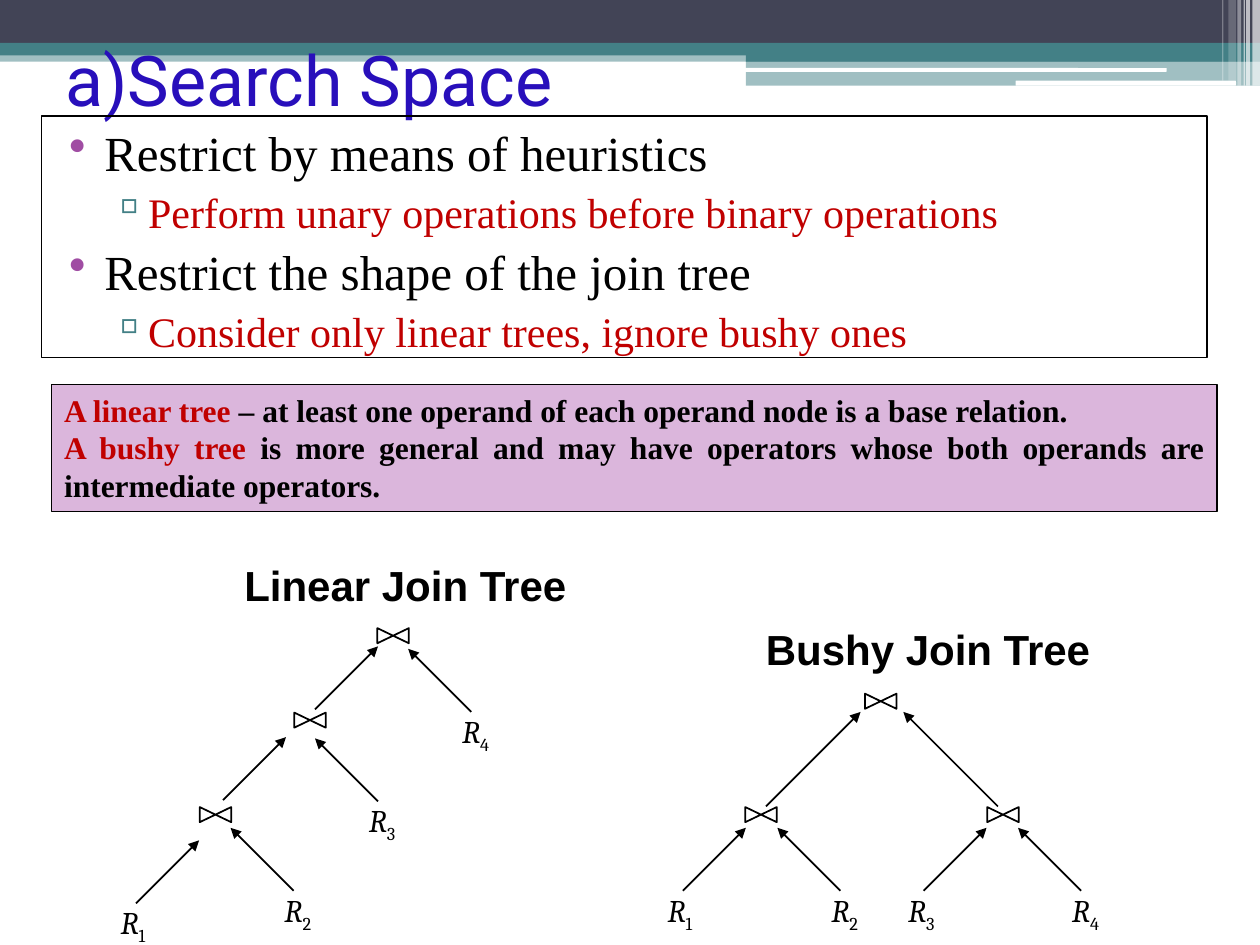
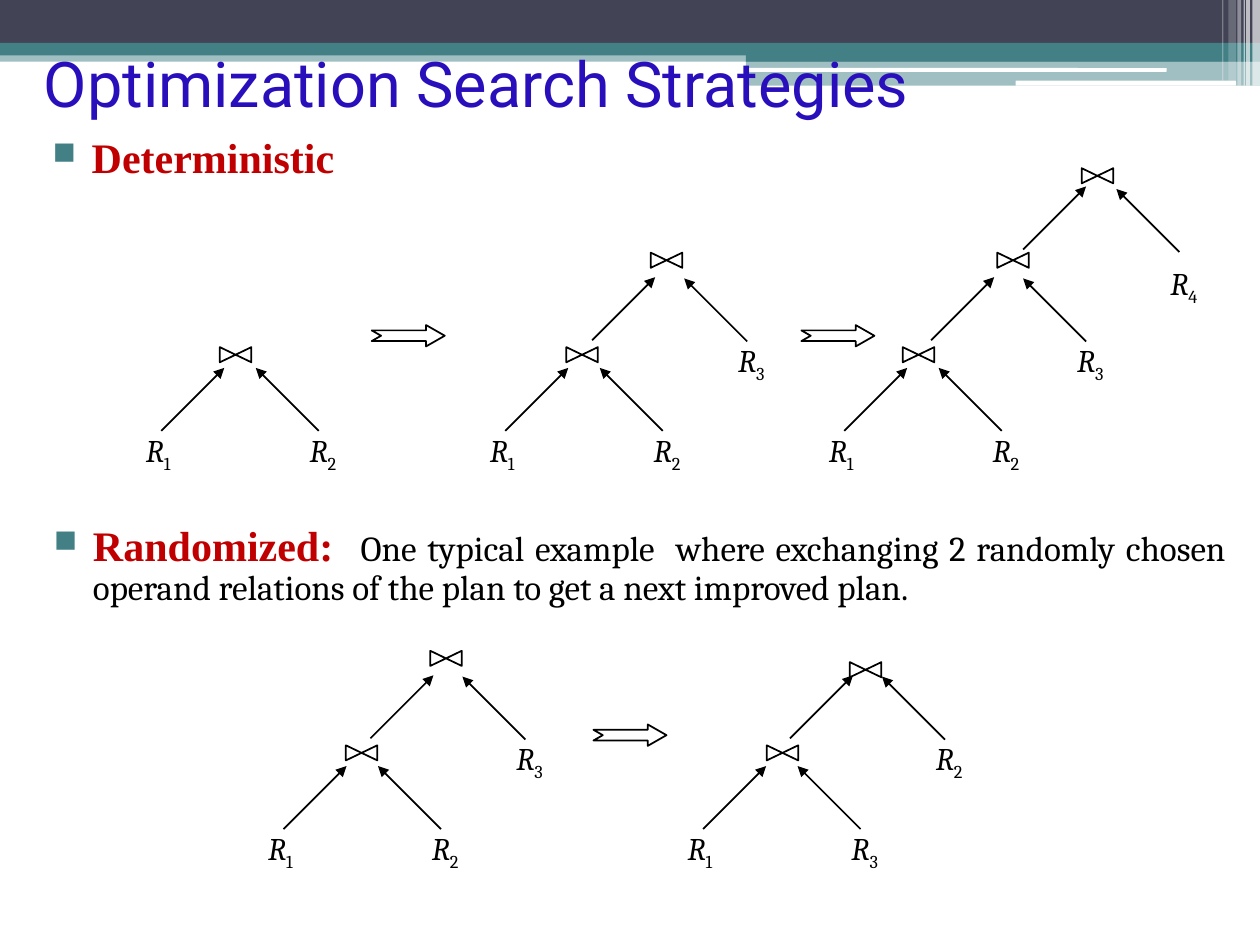
"""Builds two slides on search space and search strategies for join trees."""
from lxml.etree import SubElement as Sub
from pptx import Presentation
from pptx.dml.color import RGBColor as RGB
from pptx.enum.shapes import MSO_CONNECTOR as LINK, MSO_SHAPE as SHAPE
from pptx.enum.text import MSO_ANCHOR as ANCHOR, PP_ALIGN as ALIGN
from pptx.oxml.ns import qn
from pptx.util import Inches, Pt

HEX = {"black": "000000", "white": "FFFFFF", "slate": "424456", "teal": "438086",
       "blue": "280FBB", "red": "C00000", "plum": "A04DA3", "lilac": "DBB6DC"}
SERIF, BOOK = "Times New Roman", "Cambria"

BANDS = [
    ((0, 0.4, 10, 0.09), "teal", 50), ((0, 0, 10, 0.34), "slate", 100),
    ((0, 0.34, 10, 0.1), "teal", 100), ((5.92, 0.39, 4.08, 0.1), "teal", 100),
    ((5.92, 0.48, 4.08, 0.2), "teal", 50)]
RULES = [(5.91, 0.54, 3.35, 0.03), (8.06, 0.64, 1.75, 0.04)]
STRIPES = [(9.94, 0.06, 0.68, 65), (9.89, 0.03, 0.68, 65), (9.87, 0.01, 0.68, 60),
           (9.82, 0.03, 0.68, 40), (9.75, 0.06, 0.64, 20), (9.7, 0.01, 0.64, 30)]

TITLES = [("a)Search Space", (0.42, 0, 9.25, 1.25), 40),
          ("Optimization Search Strategies", (0.25, 0.17, 7.83, 0.96), 36)]
LIMITS = [("Restrict by means of heuristics", "Perform unary operations before binary operations"),
          ("Restrict the shape of the join tree", "Consider only linear trees, ignore bushy ones")]
TERMS = [
    ("A linear tree ", "– at least one operand of each operand node is a base relation."),
    ("A bushy tree ", "is more general and may have operators whose both operands are "
                      "intermediate operators.")]
HEADS = [("Linear Join Tree", (1.84, 4.39, 2.78, 0.5)),
         ("Bushy Join Tree", (5.98, 4.9, 2.8, 0.5))]
EXAMPLE = ("One typical example  where exchanging 2 randomly chosen operand relations "
           "of the plan to get a next improved plan.")

LINEAR = dict(x=1.08, y=7.07, leaves="1234", drop=0.1,
              joins=[(1.71, 6.465), (2.46, 5.715), (3.12, 5.045)])
BUSHY = [dict(x=5.42, y=7.07, leaves="12", joins=[(6.04, 6.465)]),
         dict(x=7.33, y=7.07, leaves="34", joins=[(7.96, 6.465)])]
GROWTH = [
    dict(x=1.28, y=3.42, leaves="12", joins=[(1.87, 2.815)]),
    dict(x=4.01, y=3.42, leaves="123", joins=[(4.62, 2.815), (5.29, 2.065)]),
    dict(x=6.7, y=3.42, leaves="1234", joins=[(7.29, 2.815), (8.04, 2.065), (8.71, 1.395)],
         last=0.1)]
SWAP = [dict(x=2.25, y=6.58, leaves="123", joins=[(2.87, 5.975), (3.54, 5.225)]),
        dict(x=5.58, y=6.58, leaves="132", joins=[(6.21, 5.975), (6.87, 5.315)])]
ARROWS = [(2.95, 2.58), (6.36, 2.58), (4.71, 5.75)]

LEFT = [(0, 0), (0.69, -0.72), (1.42, -1.44)]
RIGHT = [(1.25, 0), (1.92, -0.71), (2.66, -1.42)]
ARM, NUDGE = 0.5, (-0.17, -0.05)


def inch(*nums):
    return [Inches(n) for n in nums]


def paint(shape, fill=None, line=None, width=1.0, alpha=100):
    if fill:
        shape.fill.solid()
        shape.fill.fore_color.rgb = RGB.from_string(HEX[fill])
        if alpha < 100:
            tint = shape.fill._xPr.find(".//" + qn("a:srgbClr"))
            Sub(tint, qn("a:alpha"), val=str(alpha * 1000))
    else:
        shape.fill.background()
    if line:
        shape.line.color.rgb = RGB.from_string(HEX[line])
        shape.line.width = Pt(width)
    else:
        shape.line.fill.background()


def draw(slide, kind, box, **look):
    shape = slide.shapes.add_shape(kind, *inch(*box))
    shape.shadow.inherit = False
    paint(shape, **look)
    return shape


def bullet(para, char, color, indent, hang, scale=None):
    props = para._p.get_or_add_pPr()
    props.set("marL", str(Inches(indent)))
    props.set("indent", str(-Inches(hang)))
    Sub(Sub(props, qn("a:buClr")), qn("a:srgbClr"), val=HEX[color])
    if scale:
        Sub(props, qn("a:buSzPct"), val=str(scale * 1000))
    Sub(props, qn("a:buChar"), char=char)


def text(slide, box, paras, size=18, font=SERIF, color="black", bold=False, wrap=True,
         align=None, anchor=ANCHOR.TOP, before=0, space=None, marks=None):
    """Each paragraph is a list of (words, format) runs."""
    shape = slide.shapes.add_textbox(*inch(*box))
    frame = shape.text_frame
    frame.word_wrap, frame.vertical_anchor = wrap, anchor
    for i, runs in enumerate(paras):
        para = frame.paragraphs[0] if i == 0 else frame.add_paragraph()
        para.alignment, para.space_before = align, Pt(before)
        if space:
            para.line_spacing = space
        if marks:
            bullet(para, *marks[i % len(marks)])
        for words, form in runs:
            run = para.add_run()
            run.text = words
            face = run.font
            face.name, face.size = form.get("font", font), Pt(form.get("size", size))
            face.bold, face.italic = form.get("bold", bold), form.get("italic", False)
            face.color.rgb = RGB.from_string(HEX[form.get("color", color)])
            if "base" in form:
                run._r.get_or_add_rPr().set("baseline", str(form["base"] * 1000))
    return shape


def arm(slide, x, y, way, size=ARM):
    link = slide.shapes.add_connector(LINK.STRAIGHT, *inch(x, y, x + way * size, y - size))
    link.line.color.rgb = RGB.from_string(HEX["black"])
    link.line.width = Pt(1)
    props = link._element.spPr
    Sub(props.find(qn("a:ln")), qn("a:tailEnd"), type="triangle")
    Sub(props, qn("a:effectLst"))


def join(slide, x, y):
    shape = draw(slide, SHAPE.FLOWCHART_COLLATE, (x - 0.06, y - 0.125, 0.12, 0.25), line="black")
    shape.rotation = 270


def leaf(slide, x, y, num):
    runs = [("R", {"italic": True}), (num, {"base": -25})]
    text(slide, (x, y, 0.47, 0.4), [runs], font=BOOK, wrap=False)


def tree(slide, x, y, leaves, joins, drop=0, last=0):
    leaf(slide, x - 0.22, y - 0.05 + drop, leaves[0])
    for i, (spot, num) in enumerate(zip(joins, leaves[1:])):
        (lx, ly), (rx, ry) = LEFT[i], RIGHT[i]
        arm(slide, x + lx, y + ly + (0 if i else drop), 1)
        arm(slide, x + rx, y + ry, -1)
        low = last if i == len(joins) - 1 else 0
        leaf(slide, x + rx + NUDGE[0], y + ry + NUDGE[1] + low, num)
        join(slide, *spot)


def arrow(slide, x, y):
    shape = draw(slide, SHAPE.NOTCHED_RIGHT_ARROW, (x, y, 0.58, 0.17), line="black")
    shape.adjustments[0], shape.adjustments[1] = 0.5, 0.875


def dress(slide, layout):
    parts = [draw(slide, SHAPE.RECTANGLE, box, fill=color, alpha=alpha)
             for box, color, alpha in BANDS]
    parts += [draw(slide, SHAPE.ROUNDED_RECTANGLE, box, fill="white") for box in RULES]
    parts += [draw(slide, SHAPE.RECTANGLE, (x, 0, wide, high), fill="white", alpha=alpha)
              for x, wide, high, alpha in STRIPES]
    for part in parts:
        layout.shapes.element.append(part._element)


def space_slide(slide):
    lines = []
    for rule, detail in LIMITS:
        lines += [[(rule, {})], [(detail, {"size": 24, "color": "red"})]]
    body = text(slide, (0.33, 0.92, 9.25, 1.92), lines, size=28, before=3,
                marks=[("•", "plum", 0.4, 0.28), ("▫", "teal", 0.72, 0.27)])
    paint(body, line="black", width=0.75)
    for words, box in HEADS:
        text(slide, box, [[(words, {})]], size=24, font="Arial", bold=True, wrap=False)
    for plan in [LINEAR] + BUSHY:
        tree(slide, **plan)
    arm(slide, 6.08, 6.4, 1, 0.75)
    arm(slide, 7.92, 6.4, -1, 0.75)
    join(slide, 6.99, 5.565)
    notes = [[(term, {"color": "red"}), (sense, {})] for term, sense in TERMS]
    panel = text(slide, (0.41, 3.05, 9.25, 1.01), notes, bold=True, align=ALIGN.JUSTIFY)
    paint(panel, fill="lilac", line="black", width=0.75)


def plan_slide(slide):
    key = {"size": 24, "color": "red", "bold": True}
    look = dict(size=20, font=BOOK, before=2, space=0.9,
                marks=[("■", "teal", 0.31, 0.31, 75)])
    text(slide, (0.32, 1.04, 7.83, 0.58), [[("Deterministic", {**key, "font": SERIF})]], **look)
    text(slide, (0.33, 4.12, 9.5, 0.71),
         [[("Randomized:  ", {**key, "font": SERIF}), (EXAMPLE, {})]],
         align=ALIGN.JUSTIFY, **look)
    for plan in GROWTH + SWAP:
        tree(slide, **plan)
    for spot in ARROWS:
        arrow(slide, *spot)


def main():
    deck = Presentation()
    deck.slide_width, deck.slide_height = inch(10, 7.5)
    blank = deck.slide_layouts[6]
    for i, (fill, (words, box, size)) in enumerate(zip((space_slide, plan_slide), TITLES)):
        slide = deck.slides.add_slide(blank)
        if i == 0:
            dress(slide, blank)
        text(slide, box, [[(words, {})]], size=size, font="Roboto", color="blue",
             anchor=ANCHOR.MIDDLE)
        fill(slide)
    deck.save("out.pptx")


if __name__ == "__main__":
    main()
